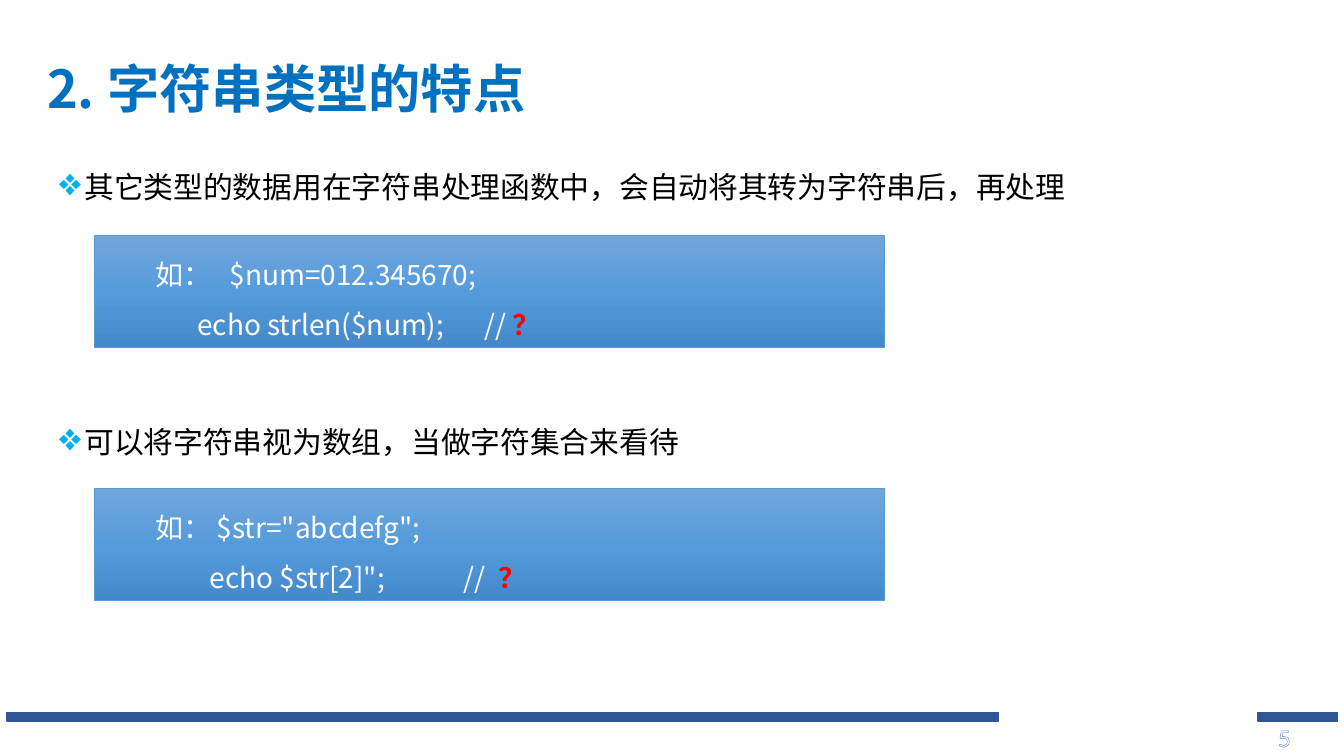
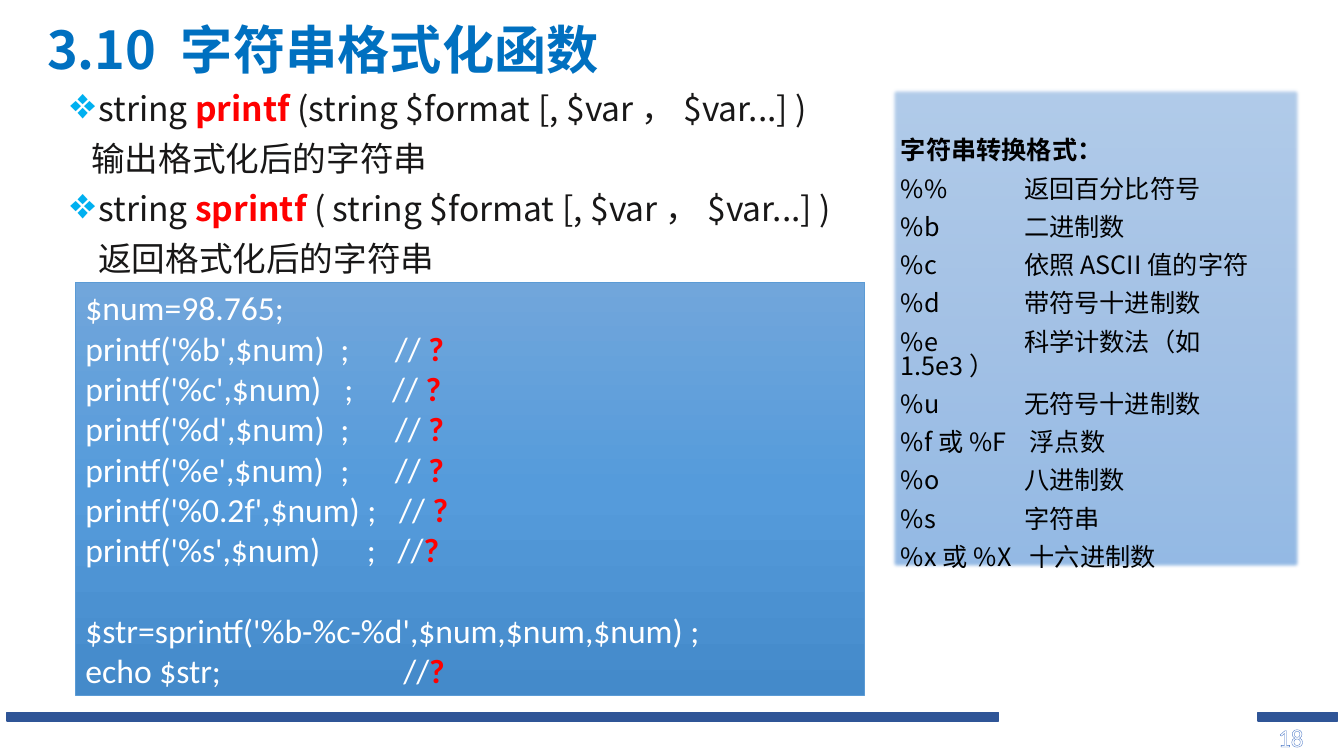
from lxml import etree
from pptx import Presentation
from pptx.dml.color import RGBColor
from pptx.enum.shapes import MSO_SHAPE
from pptx.enum.text import MSO_ANCHOR, PP_ALIGN
from pptx.oxml import parse_xml
from pptx.oxml.ns import nsdecls, qn
from pptx.util import Pt

RECTANGLE = MSO_SHAPE.RECTANGLE
TOP, MIDDLE = MSO_ANCHOR.TOP, MSO_ANCHOR.MIDDLE
LEFT = PP_ALIGN.LEFT
CJK, LATIN = "Noto Sans CJK SC", "Calibri"

COLORS = {
    "title": "0070C0", "bullet": "00B0F0", "band": "2F5597", "edge": "5B9BD5",
    "black": "000000", "ink": "181717", "white": "FFFFFF", "red": "FF0000",
    "hatch": "8FAADC", "outline": "4472C4",
}
CODE_FILL = ("71A6DB", "559BDB", "448ACA")
PANEL_FILL = ("B1CBE9", "A3C1E5", "93B9E4")

STYLES = {
    "title": dict(size=37.3, name=CJK, color="title", bold=True, line=0.9),
    "point": dict(size=21.3, name=CJK, color="black", line=Pt(38.5)),
    "example": dict(size=20, name=CJK, color="white", line=Pt(35.7)),
    "syntax": dict(size=24, name=CJK, color="ink", line=Pt(25.7), gap=10),
    "format": dict(size=18, name=CJK, color="black", line=Pt(17.3), gap=10),
    "code": dict(size=24, name=LATIN, color="white", line=Pt(28.8)),
    "number": dict(size=18, name=LATIN, color="hatch", line=1.0),
}
RED = dict(color="red", bold=True)
BOLD = dict(bold=True)

BANDS = [(5, 509, 708.5, 6), (898.5, 509, 57, 6)]
NUMBER_AREA = (905.8, 512, 50, 29)

POINTS = [
    ((35.2, 104.1, 869, 46), "其它类型的数据用在字符串处理函数中，会自动将其转为字符串后，再处理"),
    ((35.2, 286.2, 869, 46), "可以将字符串视为数组，当做字符集合来看待"),
]
EXAMPLES = [
    ((67.7, 168.5, 564, 80), [
        dict(spans=["如：\t$num=012.345670;"], tabs=[53]),
        dict(spans=["\techo strlen($num);\t//", ("？", RED)], tabs=[30, 235]),
    ]),
    ((67.7, 349.2, 564, 80), [
        dict(spans=['如：\t$str="abcdefg";'], tabs=[44]),
        dict(spans=['\techo $str[2]";\t//', (" ？", RED)], tabs=[39, 220]),
    ]),
]

SYNTAX = [
    dict(spans=["string ", ("printf ", RED), "(string $format [, $var，$var...] )"], bullet=20),
    dict(spans=["输出格式化后的字符串"], indent=15),
    dict(spans=["string ", ("sprintf", RED), " ( string $format [, $var，$var...] )"], bullet=20),
    dict(spans=["返回格式化后的字符串"], indent=20),
]
FORMATS = [
    ("%%", "返回百分比符号"), ("%b", "二进制数"), ("%c", "依照ASCII值的字符"),
    ("%d", "带符号十进制数"), ("%e", "科学计数法（如1.5e3）"), ("%u", "无符号十进制数"),
    ("%f或%F", "浮点数"), ("%o", "八进制数"), ("%s", "字符串"), ("%x或%X", "十六进制数"),
]
CALLS = [
    ("printf('%b',$num)\t;\t//", " ?", [182, 221]),
    ("printf('%c',$num)\t;\t//", " ?", [185, 219]),
    ("printf('%d',$num)\t;\t//", " ?", [182, 221]),
    ("printf('%e',$num)\t;\t//", " ?", [182, 221]),
    ("printf('%0.2f',$num) ;\t//", " ?", [224]),
    ("printf('%s',$num)\t;\t//", "?", [201, 223]),
]
RESULT = [
    dict(spans=["$str=sprintf('%b-%c-%d',$num,$num,$num) ;"], gap=28.8),
    dict(spans=["echo $str;\t//", ("?", RED)], tabs=[227]),
]


def rgb(name):
    return RGBColor.from_string(COLORS[name])


def add_child(parent, tag, **attributes):
    return etree.SubElement(parent, qn(tag), attributes)


def format_span(span, look):
    values = dict(size=Pt(look["size"]), name=look["name"], bold=look.get("bold", False))
    for name, value in values.items():
        setattr(span.font, name, value)
    span.font.color.rgb = rgb(look["color"])
    add_child(span.font._element, "a:ea", typeface=look["name"])


def format_paragraph(para, item):
    properties = para._p.get_or_add_pPr()
    hanging = item.get("bullet", 0)
    margin = item.get("indent", hanging)
    if margin:
        properties.set("marL", str(Pt(margin)))
        properties.set("indent", str(-Pt(hanging)))
    if hanging:
        color = add_child(properties, "a:buClr")
        add_child(color, "a:srgbClr", val=COLORS["bullet"])
        add_child(properties, "a:buSzPct", val="130000")
        add_child(properties, "a:buChar", char="❖")
    if "tabs" in item:
        stops = add_child(properties, "a:tabLst")
        for stop in item["tabs"]:
            add_child(stops, "a:tab", pos=str(Pt(stop)), algn="l")


def write(shape, items, style, left=7.2, top=3.6, right=7.2, anchor=TOP):
    look = STYLES[style]
    frame = shape.text_frame
    settings = dict(word_wrap=True, vertical_anchor=anchor, margin_left=Pt(left),
                    margin_right=Pt(right), margin_top=Pt(top), margin_bottom=Pt(3.6))
    for name, value in settings.items():
        setattr(frame, name, value)
    for index, item in enumerate(items):
        para = frame.add_paragraph() if index else frame.paragraphs[0]
        format_paragraph(para, item)
        para.alignment = LEFT
        para.line_spacing = look["line"]
        para.space_before = Pt(item.get("gap", look.get("gap", 0)) if index else 0)
        for part in item["spans"]:
            text, change = (part, {}) if isinstance(part, str) else part
            span = para.add_run()
            span.text = text
            format_span(span, {**look, **change})


def add_text(page, area, items, style, **options):
    box = page.shapes.add_textbox(*map(Pt, area))
    write(box, items, style, **options)
    return box


def add_rectangle(page, area, edge, width):
    shape = page.shapes.add_shape(RECTANGLE, *map(Pt, area))
    shape.shadow.inherit = False
    shape.line.color.rgb = rgb(edge)
    shape.line.width = Pt(width)
    return shape


def add_gradient_box(page, area, colors):
    shape = add_rectangle(page, area, "edge", 0.5)
    shape.fill.gradient()
    shape.fill.gradient_angle = 270
    stops = shape._element.spPr.find(qn("a:gradFill")).find(qn("a:gsLst"))
    for stop in list(stops):
        stops.remove(stop)
    for index, color in enumerate(colors):
        stop = add_child(stops, "a:gs", pos=str(index * 50000))
        add_child(stop, "a:srgbClr", val=color)
    return shape


def add_page_number(page, number):
    box = add_text(page, NUMBER_AREA, [dict(spans=[number])], "number")
    properties = box.text_frame.paragraphs[0].runs[0].font._element
    properties.remove(properties.find(qn("a:solidFill")))
    outline = f'<a:ln {nsdecls("a")} w="12700"><a:solidFill><a:srgbClr val="{COLORS["outline"]}"/></a:solidFill></a:ln>'
    hatch = (f'<a:pattFill {nsdecls("a")} prst="ltDnDiag"><a:fgClr><a:srgbClr val="{COLORS["hatch"]}"/></a:fgClr>'
             f'<a:bgClr><a:srgbClr val="{COLORS["white"]}"/></a:bgClr></a:pattFill>')
    for index, markup in enumerate((outline, hatch)):
        properties.insert(index, parse_xml(markup))


def add_page(deck, title, title_area, number):
    page = deck.slides.add_slide(deck.slide_layouts[6])
    for area in BANDS:
        band = add_rectangle(page, area, "band", 1)
        band.fill.solid()
        band.fill.fore_color.rgb = rgb("band")
    add_page_number(page, number)
    add_text(page, title_area, [dict(spans=[title])], "title", anchor=MIDDLE)
    return page


def build_features(deck):
    page = add_page(deck, "2.字符串类型的特点", (26.6, 20.5, 864, 90), "5")
    for area, text in POINTS:
        add_text(page, area, [dict(spans=[text], bullet=18)], "point")
    for area, lines in EXAMPLES:
        write(add_gradient_box(page, area, CODE_FILL), lines, "example", left=43.2)


def build_formatting(deck):
    page = add_page(deck, "3.10 字符串格式化函数", (26.6, 12.7, 648, 49.7), "18")
    add_text(page, (43.2, 62.6, 576, 150), SYNTAX, "syntax")

    panel = add_gradient_box(page, (636.5, 62.6, 292.3, 343.4), PANEL_FILL)
    effects = panel._element.spPr.find(qn("a:effectLst"))
    add_child(effects, "a:softEdge", rad=str(Pt(2.5)))
    rows = [dict(spans=[f"{code}\t{meaning}"], tabs=[92 if "或" in code else 88])
            for code, meaning in FORMATS]
    heading = dict(spans=[("字符串转换格式：", BOLD)])
    write(panel, [heading] + rows, "format", top=38, right=14)

    calls = [dict(spans=[text, (mark, RED)], tabs=tabs) for text, mark, tabs in CALLS]
    code = add_gradient_box(page, (54, 201.6, 563.8, 295.2), CODE_FILL)
    write(code, [dict(spans=["$num=98.765;"])] + calls + RESULT, "code")


def main():
    deck = Presentation()
    deck.slide_width, deck.slide_height = Pt(960), Pt(540)
    build_features(deck)
    build_formatting(deck)
    deck.save("out.pptx")


if __name__ == "__main__":
    main()
